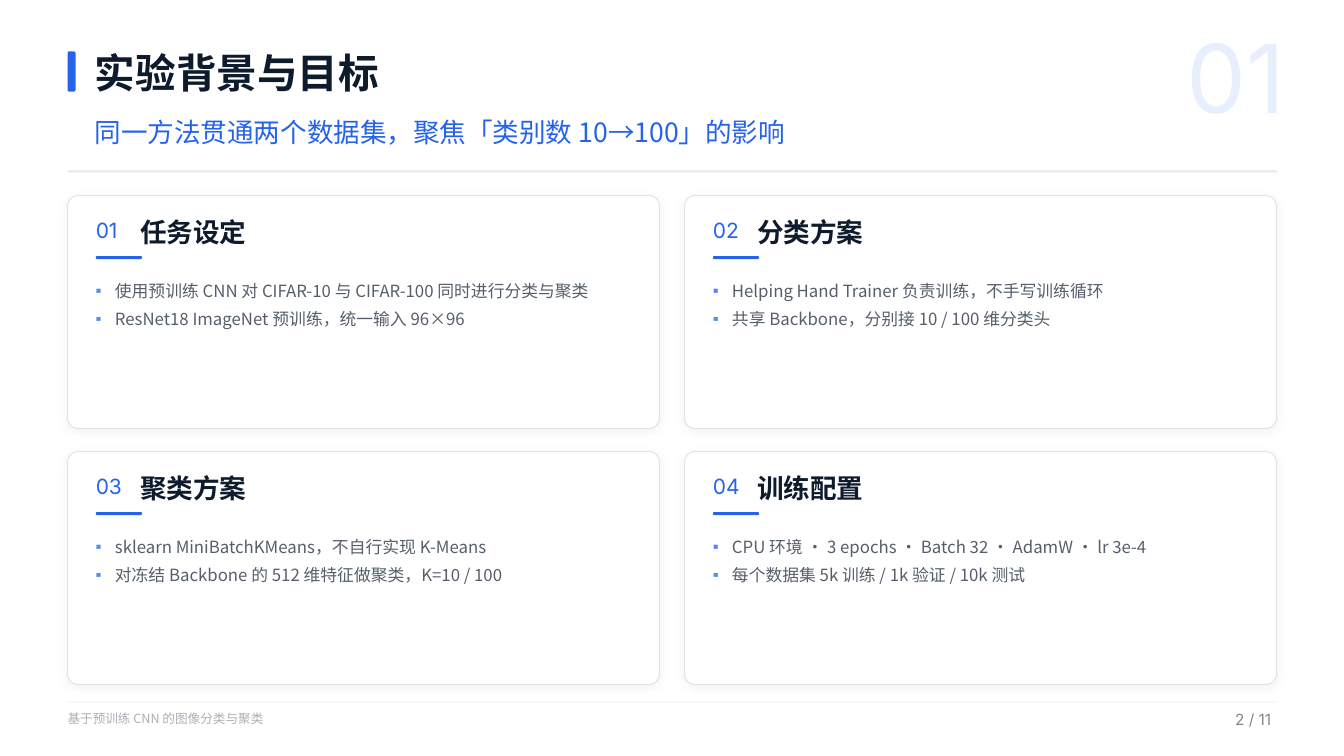
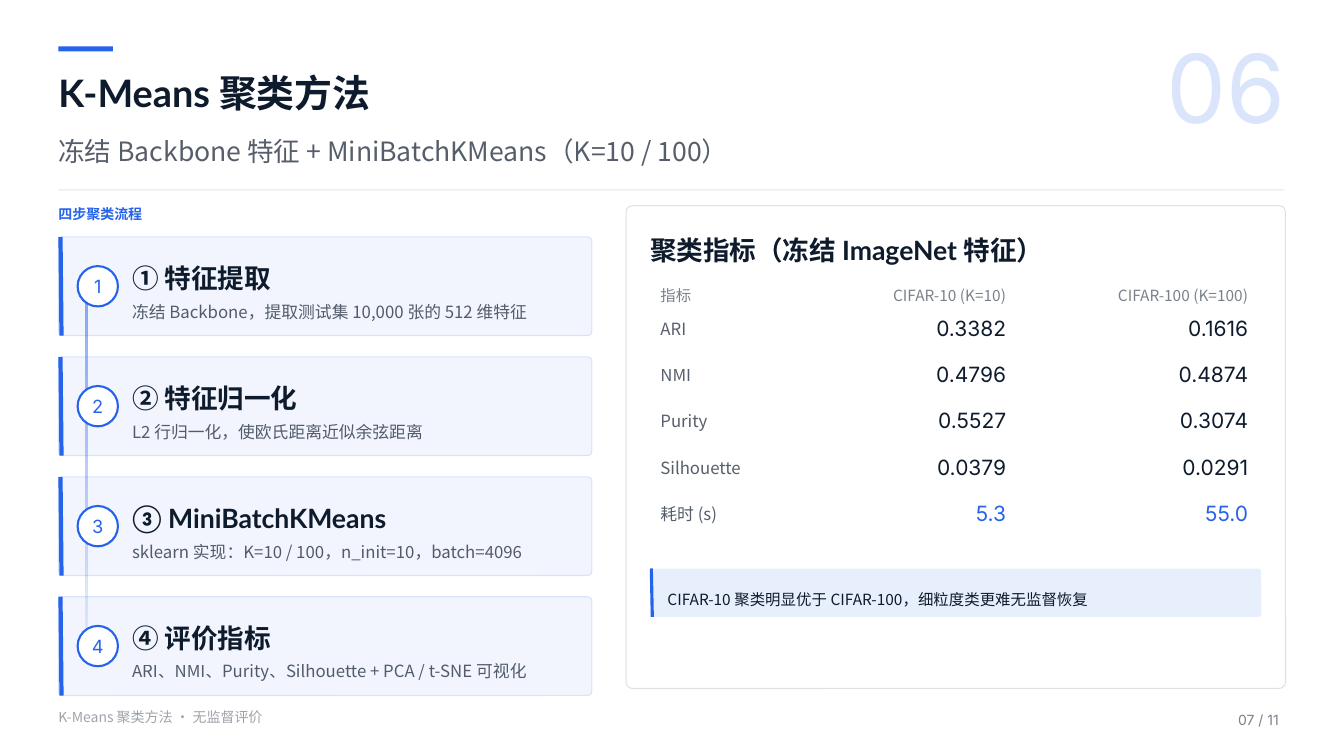
"""Build two slides on image classification and K-Means clustering."""
from dataclasses import dataclass
from typing import NamedTuple

from pptx import Presentation
from pptx.dml.color import RGBColor
from pptx.dml.fill import FillFormat
from pptx.enum.shapes import MSO_CONNECTOR, MSO_SHAPE
from pptx.enum.text import MSO_ANCHOR, MSO_AUTO_SIZE, PP_ALIGN
from pptx.oxml.ns import qn
from pptx.oxml.xmlchemy import OxmlElement
from pptx.presentation import Presentation as Deck
from pptx.shapes.autoshape import Shape
from pptx.slide import Slide
from pptx.text.text import TextFrame, _Paragraph
from pptx.util import Inches, Pt

BLUE = RGBColor(0x25, 0x63, 0xEB)
NAVY = RGBColor(0x0E, 0x1B, 0x2C)
WHITE = RGBColor(0xFF, 0xFF, 0xFF)
RECT, ROUND, OVAL = MSO_SHAPE.RECTANGLE, MSO_SHAPE.ROUNDED_RECTANGLE, MSO_SHAPE.OVAL
STRAIGHT = MSO_CONNECTOR.STRAIGHT
TOP, MIDDLE = MSO_ANCHOR.TOP, MSO_ANCHOR.MIDDLE
LEFT, CENTER, RIGHT = PP_ALIGN.LEFT, PP_ALIGN.CENTER, PP_ALIGN.RIGHT
NO_FIT = MSO_AUTO_SIZE.NONE
LATO, INTER, NOTO = "Lato", "Inter", "Noto Sans CJK SC"


class Ink(NamedTuple):
    """A colour with its opacity in percent."""

    color: RGBColor
    alpha: int = 100


class Area(NamedTuple):
    """Left, top, width and height in inches."""

    left: float
    top: float
    width: float
    height: float


class Style(NamedTuple):
    """The look of a text."""

    size: float
    font: str
    ink: Ink
    bold: bool = False
    spacing: float = 1.0


class Stroke(NamedTuple):
    """The outline of a shape."""

    ink: Ink
    width: float


@dataclass(frozen=True)
class Frame:
    """The header and footer of a slide."""

    title: str
    title_area: Area
    title_style: Style
    subtitle: str
    subtitle_area: Area
    subtitle_style: Style
    number: str
    number_area: Area
    number_ink: Ink
    marker: Area
    marker_radius: float
    rules: tuple[tuple[Area, Ink], ...]
    footer: str
    footer_area: Area
    footer_style: Style
    page: str
    page_area: Area
    page_style: Style


@dataclass(frozen=True)
class Card:
    """A numbered card with bullets."""

    number: str
    title: str
    bullets: tuple[str, ...]


@dataclass(frozen=True)
class Step:
    """A step of the clustering process."""

    title: str
    detail: str


SOLID_BLUE, SOLID_NAVY, SOLID_WHITE = Ink(BLUE), Ink(NAVY), Ink(WHITE)
MUTED = Ink(NAVY, 70)
BODY = Style(12, NOTO, MUTED, spacing=1.4)
CARD_TITLE = Style(19, LATO, SOLID_NAVY, True, 1.12)
PANEL_TITLE = CARD_TITLE._replace(spacing=1.2)
CARD_NUMBER = Style(15, INTER, SOLID_BLUE)
STEP_NUMBER = Style(13, INTER, SOLID_BLUE)
SECTION = Style(10, NOTO, SOLID_BLUE, True)
NOTE = Style(11, NOTO, SOLID_NAVY, spacing=1.5)
TABLE_HEAD = Style(11, NOTO, Ink(NAVY, 55))
TABLE_LABEL = Style(12, NOTO, MUTED)
TABLE_VALUE = Style(15, INTER, SOLID_NAVY)

GOALS = Frame(
    "实验背景与目标", Area(0.94, 0.42, 9, 0.52), Style(29, LATO, SOLID_NAVY, True, 1.12),
    "同一方法贯通两个数据集，聚焦「类别数 10→100」的影响", Area(0.94, 1.05, 9.1, 0.34),
    Style(19, NOTO, SOLID_BLUE, spacing=1.32),
    "01", Area(11.77, 0.18, 1.4, 1.15), Ink(BLUE, 10), Area(0.67, 0.51, 0.08, 0.4), 0.25,
    ((Area(0.67, 1.69, 12, 0.02), Ink(NAVY, 10)), (Area(0.67, 6.96, 12, 0.01), Ink(NAVY, 6))),
    "基于预训练 CNN 的图像分类与聚类", Area(0.67, 7.05, 5, 0.18), Style(9, NOTO, Ink(NAVY, 34)),
    "2 / 11", Area(12.25, 7.04, 0.8, 0.18), Style(11, INTER, Ink(NAVY, 52)),
)
METHOD = Frame(
    "K-Means 聚类方法", Area(0.58, 0.62, 9.37, 0.49), Style(27, LATO, SOLID_NAVY, True, 1.15),
    "冻结 Backbone 特征 + MiniBatchKMeans（K=10 / 100）", Area(0.58, 1.23, 9.37, 0.35),
    Style(19, NOTO, MUTED, spacing=1.35),
    "06", Area(11.57, 0.28, 1.6, 1.15), Ink(BLUE, 16), Area(0.58, 0.46, 0.54, 0.05), 0,
    ((Area(0.58, 1.88, 12.16, 0.01), Ink(NAVY, 12)),),
    "K-Means 聚类方法 · 无监督评价", Area(0.58, 7.03, 5, 0.2), Style(10, NOTO, Ink(NAVY, 40)),
    "07 / 11", Area(12.28, 7.06, 0.8, 0.17), Style(10, INTER, Ink(NAVY, 55)),
)
CARDS = (
    Card("01", "任务设定", ("使用预训练 CNN 对 CIFAR-10 与 CIFAR-100 同时进行分类与聚类",
                        "ResNet18 ImageNet 预训练，统一输入 96×96")),
    Card("02", "分类方案", ("Helping Hand Trainer 负责训练，不手写训练循环",
                        "共享 Backbone，分别接 10 / 100 维分类头")),
    Card("03", "聚类方案", ("sklearn MiniBatchKMeans，不自行实现 K-Means",
                        "对冻结 Backbone 的 512 维特征做聚类，K=10 / 100")),
    Card("04", "训练配置", ("CPU 环境 · 3 epochs · Batch 32 · AdamW · lr 3e-4",
                        "每个数据集 5k 训练 / 1k 验证 / 10k 测试")),
)
STEPS = (
    Step("① 特征提取", "冻结 Backbone，提取测试集 10,000 张的 512 维特征"),
    Step("② 特征归一化", "L2 行归一化，使欧氏距离近似余弦距离"),
    Step("③ MiniBatchKMeans", "sklearn 实现：K=10 / 100，n_init=10，batch=4096"),
    Step("④ 评价指标", "ARI、NMI、Purity、Silhouette + PCA / t-SNE 可视化"),
)
METRICS = (
    ("指标", "CIFAR-10 (K=10)", "CIFAR-100 (K=100)"),
    ("ARI", "0.3382", "0.1616"),
    ("NMI", "0.4796", "0.4874"),
    ("Purity", "0.5527", "0.3074"),
    ("Silhouette", "0.0379", "0.0291"),
    ("耗时 (s)", "5.3", "55.0"),
)


def add_alpha(color: OxmlElement, alpha: int) -> None:
    """Give a colour element its opacity."""
    opacity = OxmlElement("a:alpha")
    opacity.set("val", str(alpha * 1000))
    color.append(opacity)


def paint(fill: FillFormat, ink: Ink) -> None:
    """Fill with one colour and opacity."""
    fill.solid()
    fill.fore_color.rgb = ink.color
    if ink.alpha < 100:
        add_alpha(fill._xPr.find(qn("a:solidFill"))[0], ink.alpha)


def format_paragraph(para: _Paragraph, style: Style, align: PP_ALIGN = LEFT) -> None:
    """Apply a style to a paragraph and its runs."""
    para.alignment = align
    para.line_spacing = style.spacing
    for span in para.runs:
        span.font.size = Pt(style.size)
        span.font.bold = style.bold
        paint(span.font.fill, style.ink)
        span.font.name = style.font
        east_asian = OxmlElement("a:ea")
        east_asian.set("typeface", NOTO)
        span.font._element.find(qn("a:latin")).addnext(east_asian)


def fill_frame(frame: TextFrame, text: str, style: Style, align: PP_ALIGN = LEFT,
               anchor: MSO_ANCHOR = TOP) -> None:
    """Set and format the text of a frame without insets."""
    frame.text = text
    frame.word_wrap = True
    frame.auto_size = NO_FIT
    frame.vertical_anchor = anchor
    frame.margin_left = frame.margin_top = frame.margin_right = frame.margin_bottom = 0
    for para in frame.paragraphs:
        format_paragraph(para, style, align)


def add_text(slide: Slide, area: Area, text: str, style: Style) -> Shape:
    """Add a text box."""
    box = slide.shapes.add_textbox(*map(Inches, area))
    fill_frame(box.text_frame, text, style)
    return box


def add_box(slide: Slide, area: Area, ink: Ink, kind: MSO_SHAPE = RECT, radius: float = 0,
            stroke: Stroke | None = None) -> Shape:
    """Add a filled shape."""
    box = slide.shapes.add_shape(kind, *map(Inches, area))
    box.shadow.inherit = False
    paint(box.fill, ink)
    if kind == ROUND:
        box.adjustments[0] = radius
    if stroke:
        box.line.width = Pt(stroke.width)
        paint(box.line.fill, stroke.ink)
    else:
        box.line.fill.background()
    return box


def add_edge(slide: Slide, left: float, top: float, height: float, width: float) -> None:
    """Add the blue accent line at the left edge of a box."""
    edge = slide.shapes.add_connector(
        STRAIGHT, Inches(left), Inches(top), Inches(left + 0.01), Inches(top + height))
    edge.line.width = Pt(width)
    paint(edge.line.fill, SOLID_BLUE)
    edge._element.spPr.append(OxmlElement("a:effectLst"))


def add_soft_shadow(box: Shape) -> None:
    """Put a faint shadow below a card."""
    shadow = OxmlElement("a:outerShdw")
    for name, value in (("blurRad", Pt(7.5)), ("dist", Pt(1.5)), ("dir", 90 * 60000)):
        shadow.set(name, str(int(value)))
    color = OxmlElement("a:srgbClr")
    color.set("val", str(NAVY))
    add_alpha(color, 5)
    shadow.append(color)
    box._element.spPr.find(qn("a:effectLst")).append(shadow)


def add_bullet(para: _Paragraph) -> None:
    """Give a paragraph a small blue square bullet."""
    properties = para._p.get_or_add_pPr()
    properties.set("marL", str(Inches(0.19)))
    properties.set("indent", str(-Inches(0.19)))
    bullet_color = OxmlElement("a:buClr")
    color = OxmlElement("a:srgbClr")
    color.set("val", str(BLUE))
    add_alpha(color, 75)
    bullet_color.append(color)
    font = OxmlElement("a:buFont")
    font.set("typeface", "Arial")
    mark = OxmlElement("a:buChar")
    mark.set("char", "▪")
    properties.extend((bullet_color, font, mark))


def add_framed_slide(deck: Deck, frame: Frame) -> Slide:
    """Add a slide with its header and footer."""
    slide = deck.slides.add_slide(deck.slide_layouts[5])
    title = slide.shapes.title
    title.left, title.top, title.width, title.height = map(Inches, frame.title_area)
    fill_frame(title.text_frame, frame.title, frame.title_style)
    add_box(slide, frame.marker, SOLID_BLUE, ROUND if frame.marker_radius else RECT,
            frame.marker_radius)
    add_text(slide, frame.subtitle_area, frame.subtitle, frame.subtitle_style)
    add_text(slide, frame.number_area, frame.number, Style(68, INTER, frame.number_ink))
    for area, ink in frame.rules:
        add_box(slide, area, ink)
    add_text(slide, frame.footer_area, frame.footer, frame.footer_style)
    add_text(slide, frame.page_area, frame.page, frame.page_style)
    return slide


def add_card(slide: Slide, card: Card, left: float, top: float) -> None:
    """Draw a numbered card."""
    box = add_box(slide, Area(left, top, 5.87, 2.31), SOLID_WHITE, ROUND, 0.045,
                  Stroke(Ink(NAVY, 10), 0.75))
    add_soft_shadow(box)
    inner = left + 0.28
    add_text(slide, Area(inner, top + 0.22, 0.42, 0.25), card.number, CARD_NUMBER)
    add_text(slide, Area(inner + 0.44, top + 0.16, 4.5, 0.34), card.title, CARD_TITLE)
    add_box(slide, Area(inner, top + 0.6, 0.46, 0.03), SOLID_BLUE, ROUND, 0.5)
    bullets = add_text(slide, Area(inner, top + 0.76, 5.4, 0.68), "\n".join(card.bullets), BODY)
    for para in bullets.text_frame.paragraphs:
        add_bullet(para)


def add_step(slide: Slide, number: int, step: Step, top: float) -> None:
    """Draw a step of the process."""
    add_box(slide, Area(0.58, top, 5.29, 0.98), Ink(BLUE, 6), ROUND, 0.043,
            Stroke(Ink(BLUE, 14), 0.75))
    add_edge(slide, 0.6, top, 0.98, 3)
    badge = add_box(slide, Area(0.77, top + 0.29, 0.4, 0.4), SOLID_WHITE, OVAL,
                    stroke=Stroke(SOLID_BLUE, 1.5))
    fill_frame(badge.text_frame, str(number), STEP_NUMBER, CENTER, MIDDLE)
    add_text(slide, Area(1.31, top + 0.19, 4.5, 0.31), step.title, PANEL_TITLE)
    add_text(slide, Area(1.31, top + 0.56, 4.5, 0.23), step.detail, BODY)


def add_spine(slide: Slide) -> None:
    """Draw the fading line that joins the steps."""
    spine = add_box(slide, Area(0.85, 2.85, 0.02, 3.5), SOLID_BLUE)
    spine.fill.gradient()
    spine.fill.gradient_angle = 270
    for stop, alpha in zip(spine.fill.gradient_stops, (55, 10)):
        stop.color.rgb = BLUE
        add_alpha(stop._gs[0], alpha)


def add_metrics(slide: Slide) -> None:
    """Draw the table of metrics."""
    table = slide.shapes.add_table(6, 3, *map(Inches, (6.45, 2.76, 6.03, 2.63))).table
    table.first_row = table.horz_banding = False
    for column, width in zip(table.columns, (1.51, 2.12, 2.4)):
        column.width = Inches(width)
    for index, (row, texts) in enumerate(zip(table.rows, METRICS)):
        row.height = Inches(0.46 if index else 0.32)
        value = TABLE_VALUE._replace(ink=SOLID_BLUE) if index == 5 else TABLE_VALUE
        styles = (TABLE_LABEL, value, value) if index else (TABLE_HEAD,) * 3
        for cell, text, style, align in zip(row.cells, texts, styles, (LEFT, RIGHT, RIGHT)):
            cell.text_frame.text = text
            cell.fill.background()
            format_paragraph(cell.text_frame.paragraphs[0], style, align)


def build_goals(deck: Deck) -> None:
    """Build the slide on background and goals."""
    slide = add_framed_slide(deck, GOALS)
    for index, card in enumerate(CARDS):
        row, column = divmod(index, 2)
        add_card(slide, card, 0.67 + 6.12 * column, 1.94 + 2.54 * row)


def build_method(deck: Deck) -> None:
    """Build the slide on the clustering method."""
    slide = add_framed_slide(deck, METHOD)
    add_text(slide, Area(0.58, 2.04, 5.29, 0.2), "四步聚类流程", SECTION)
    add_spine(slide)
    for index, step in enumerate(STEPS):
        add_step(slide, index + 1, step, 2.35 + 1.19 * index)
    add_box(slide, Area(6.21, 2.04, 6.54, 4.79), SOLID_WHITE, ROUND, 0.013,
            Stroke(Ink(NAVY, 12), 0.75))
    add_text(slide, Area(6.45, 2.26, 6.06, 0.31), "聚类指标（冻结 ImageNet 特征）", PANEL_TITLE)
    add_metrics(slide)
    add_box(slide, Area(6.45, 5.64, 6.06, 0.48), Ink(BLUE, 10), ROUND, 0.065)
    add_edge(slide, 6.46, 5.64, 0.48, 2.25)
    add_text(slide, Area(6.62, 5.76, 5.74, 0.23),
             "CIFAR-10 聚类明显优于 CIFAR-100，细粒度类更难无监督恢复", NOTE)


def main() -> None:
    """Build and save the deck."""
    deck = Presentation()
    deck.slide_width, deck.slide_height = Inches(13.33), Inches(7.5)
    build_goals(deck)
    build_method(deck)
    deck.save("out.pptx")


if __name__ == "__main__":
    main()
